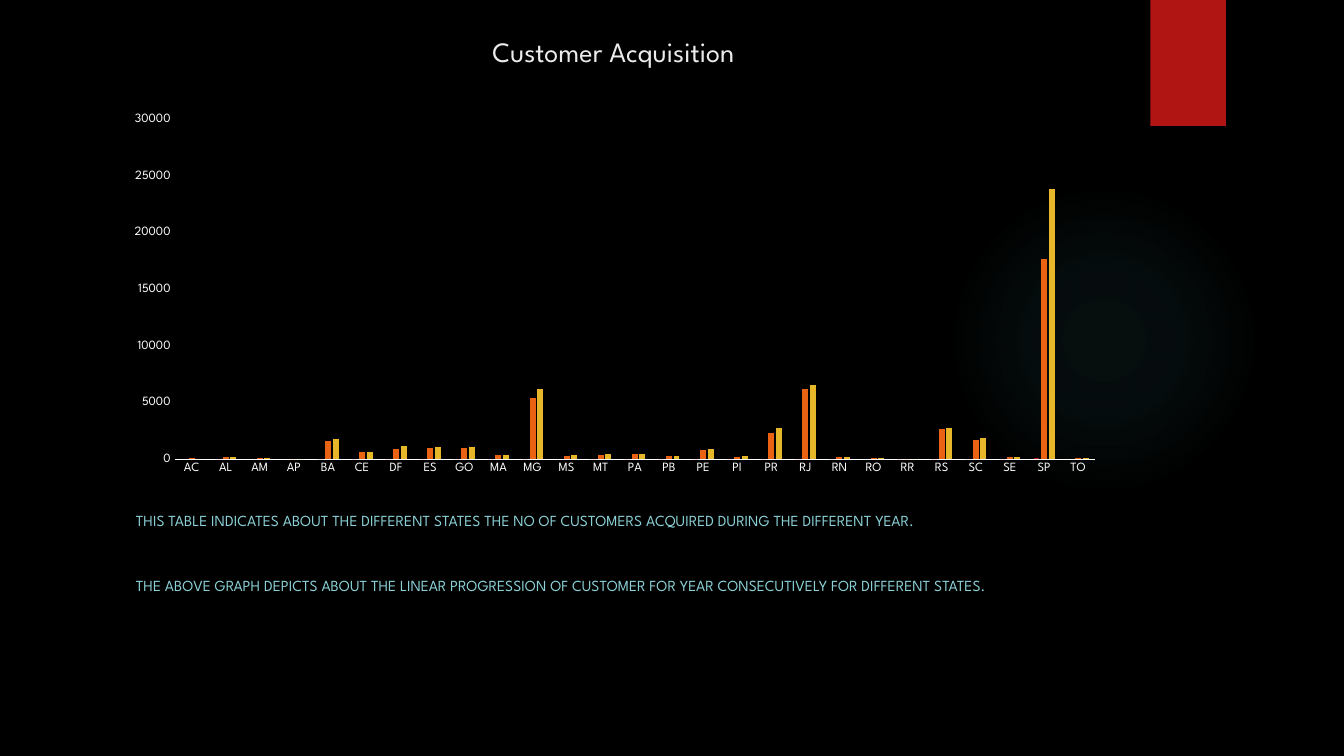
from dataclasses import dataclass

from lxml import etree
from pptx import Presentation
from pptx.chart import data as chart_data
from pptx.dml.color import RGBColor
from pptx.enum import chart as charts, shapes, text
from pptx.oxml import parse_xml
from pptx.oxml.ns import nsdecls, qn
from pptx.util import Inches, Pt


@dataclass(frozen=True)
class Theme:
    font: str = "League Spartan"
    background: str = "000000"
    title: str = "EBEBEB"
    body: str = "8AD0D6"
    glow: str = "50B9C1"
    ribbon: str = "B01513"
    labels: str = "FFFFFF"
    series: tuple = ("B01513", "EA6312", "E6B729")
    title_size: int = 20
    body_size: int = 11
    axis_size: int = 9


THEME = Theme()
NOTES = (
    "THIS TABLE INDICATES ABOUT THE DIFFERENT STATES THE NO OF CUSTOMERS ACQUIRED DURING THE DIFFERENT YEAR.",
    "THE ABOVE GRAPH DEPICTS ABOUT THE LINEAR PROGRESSION OF CUSTOMER FOR YEAR CONSECUTIVELY FOR DIFFERENT STATES.",
)
STATES = ("AC AL AM AP BA CE DF ES GO MA MG MS MT PA PB PE PI "
          "PR RJ RN RO RR RS SC SE SP TO").split()
NO_VALUE = {"AC", "AM", "AP", "MS", "RO", "TO"}
CUSTOMERS = {
    "Series 1": [None if state in NO_VALUE else 100 if state == "SP" else 0
                 for state in STATES],
    "Series 2": [100, 200, 100, 0, 1600, 700, 900, 1000, 1000, 400, 5400, 300, 400, 500,
                 300, 800, 200, 2300, 6200, 200, 100, 0, 2700, 1700, 200, 17700, 100],
    "Series 3": [0, 200, 100, 0, 1800, 700, 1200, 1100, 1100, 400, 6200, 400, 500, 500,
                 300, 900, 300, 2800, 6600, 200, 100, 0, 2800, 1900, 200, 23900, 100],
}


def rgb(color):
    return RGBColor.from_string(color)


def style_font(font, size, color):
    font.name = THEME.font
    font.size = Pt(size)
    font.color.rgb = rgb(color)


def add_plain_shape(page, kind, box, color):
    shape = page.shapes.add_shape(kind, *map(Inches, box))
    shape.shadow.inherit = False
    shape.fill.solid()
    shape.fill.fore_color.rgb = rgb(color)
    shape.line.fill.background()
    return shape


def add_backdrop(page, glow_box, ribbon_box):
    page.background.fill.solid()
    page.background.fill.fore_color.rgb = rgb(THEME.background)
    glow = add_plain_shape(page, shapes.MSO_SHAPE.OVAL, glow_box, THEME.glow)
    stops = "".join(
        f'<a:gs pos="{place * 1000}"><a:srgbClr val="{THEME.glow}">'
        f'<a:alpha val="{alpha * 1000}"/></a:srgbClr></a:gs>'
        for place, alpha in ((0, 7), (36, 6), (69, 0)))
    gradient = parse_xml(
        f'<a:gradFill {nsdecls("a")}><a:gsLst>{stops}</a:gsLst><a:path path="circle">'
        '<a:fillToRect l="50000" t="50000" r="50000" b="50000"/></a:path></a:gradFill>')
    properties = glow.fill._xPr
    properties.replace(properties.find(qn("a:solidFill")), gradient)
    add_plain_shape(page, shapes.MSO_SHAPE.RECTANGLE, ribbon_box, THEME.ribbon)


def place_title(page, box, wording):
    title = page.shapes.title
    title.left, title.top, title.width, title.height = map(Inches, box)
    frame = title.text_frame
    frame.vertical_anchor = text.MSO_ANCHOR.BOTTOM
    para = frame.paragraphs[0]
    para.alignment = text.PP_ALIGN.CENTER
    span = para.add_run()
    span.text = wording
    style_font(span.font, THEME.title_size, THEME.title)


def add_notes(page, box):
    frame = page.shapes.add_textbox(*map(Inches, box)).text_frame
    frame.word_wrap = True
    for index, wording in enumerate(NOTES):
        para = frame.add_paragraph() if index else frame.paragraphs[0]
        para.space_before = Pt(33 * index)
        span = para.add_run()
        span.text = wording
        style_font(span.font, THEME.body_size, THEME.body)


def set_plot_area(chart, x, y, width, height):
    """Fix the inner plot area, in fractions of the chart."""
    plot_area = chart._chartSpace.chart.plotArea
    for old in plot_area.findall(qn("c:layout")):
        plot_area.remove(old)
    layout = etree.Element(qn("c:layout"))
    manual = etree.SubElement(layout, qn("c:manualLayout"))
    settings = {"layoutTarget": "inner", "xMode": "edge", "yMode": "edge",
                "x": x, "y": y, "w": width, "h": height}
    for name, value in settings.items():
        etree.SubElement(manual, qn(f"c:{name}")).set("val", str(value))
    plot_area.insert(0, layout)


def add_customer_chart(page, box):
    figures = chart_data.CategoryChartData()
    figures.categories = STATES
    for name, values in CUSTOMERS.items():
        figures.add_series(name, values)
    chart = page.shapes.add_chart(
        charts.XL_CHART_TYPE.COLUMN_CLUSTERED, *map(Inches, box), figures).chart
    chart.has_legend = False
    chart.has_title = False
    style_font(chart.font, THEME.axis_size, THEME.labels)
    set_plot_area(chart, 0.056, 0.057, 0.928, 0.861)

    plot = chart.plots[0]
    plot.gap_width = 219
    plot.overlap = -27
    plot.vary_by_categories = False
    for series, color in zip(plot.series, THEME.series):
        series.format.fill.solid()
        series.format.fill.fore_color.rgb = rgb(color)

    for axis in (chart.category_axis, chart.value_axis):
        axis.has_major_gridlines = False
        axis.major_tick_mark = charts.XL_TICK_MARK.NONE
        axis.minor_tick_mark = charts.XL_TICK_MARK.NONE
        style_font(axis.tick_labels.font, THEME.axis_size, THEME.labels)
    chart.category_axis.format.line.color.rgb = rgb(THEME.labels)
    chart.category_axis.format.line.width = Pt(0.75)
    values = chart.value_axis
    values.format.line.fill.background()
    values.minimum_scale, values.maximum_scale, values.major_unit = 0, 30000, 5000


def main():
    deck = Presentation()
    deck.slide_width, deck.slide_height = Inches(13.33), Inches(7.5)
    page = deck.slides.add_slide(deck.slide_layouts[5])
    add_backdrop(page, (9.41, 1.83, 3.08, 3.08), (11.41, 0, 0.75, 1.25))
    place_title(page, (2.82, 0.21, 6.53, 0.52), "Customer Acquisition")
    add_notes(page, (1.25, 5.02, 9.67, 1.15))
    add_customer_chart(page, (1.18, 0.97, 9.84, 3.91))
    deck.save("out.pptx")


if __name__ == "__main__":
    main()
